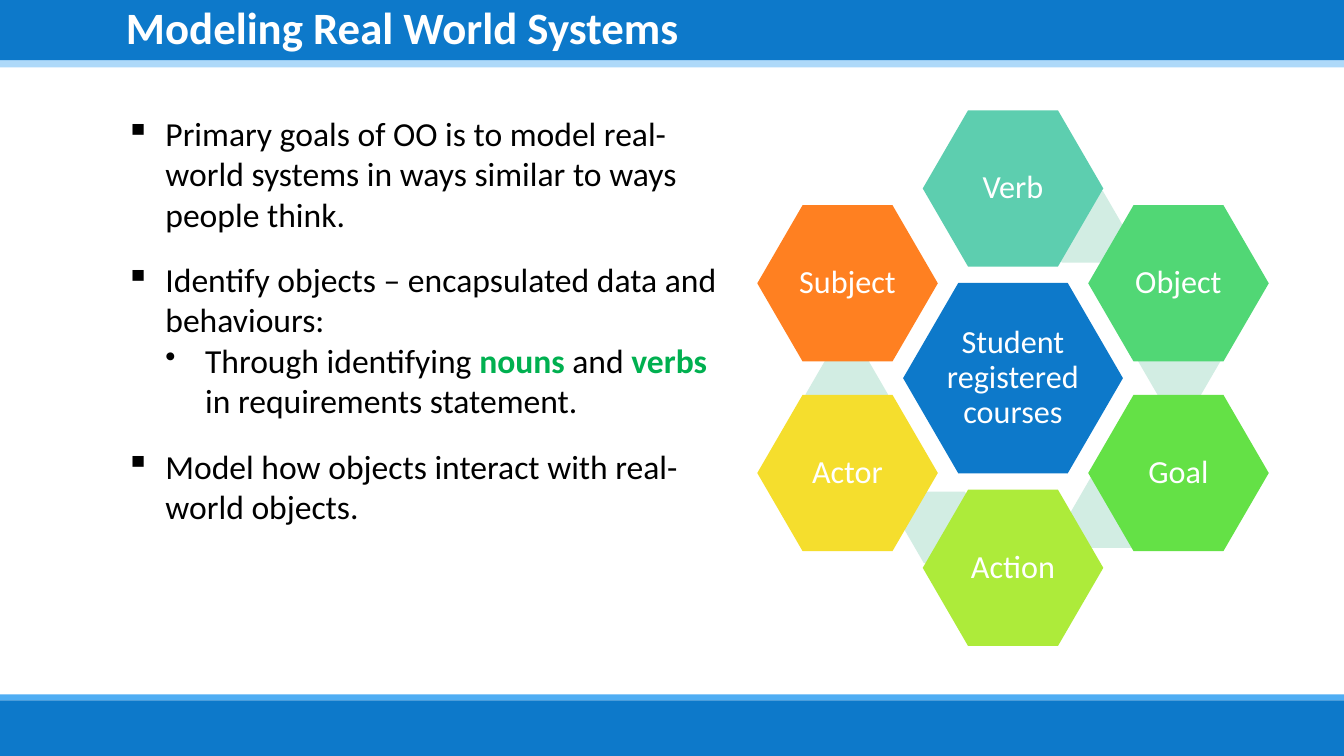
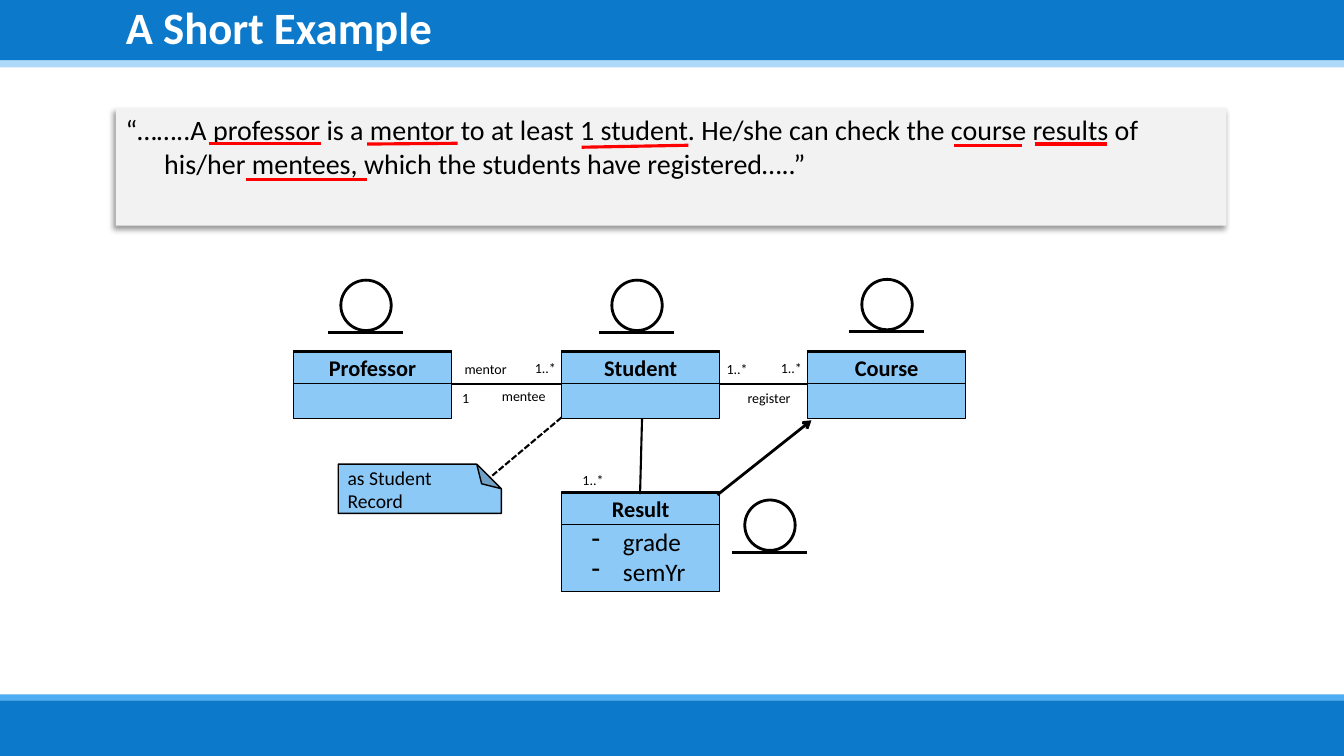
from dataclasses import dataclass

from lxml import etree
from pptx import Presentation
from pptx.dml.color import RGBColor
from pptx.enum.dml import MSO_LINE
from pptx.enum.shapes import MSO_CONNECTOR, MSO_SHAPE
from pptx.enum.text import MSO_ANCHOR, MSO_AUTO_SIZE, PP_ALIGN
from pptx.oxml.ns import qn
from pptx.util import Cm, Pt

RECT, OVAL = MSO_SHAPE.RECTANGLE, MSO_SHAPE.OVAL
HEX, FOLD = MSO_SHAPE.HEXAGON, MSO_SHAPE.FOLDED_CORNER
STRAIGHT, DASH = MSO_CONNECTOR.STRAIGHT, MSO_LINE.SQUARE_DOT
LEFT, CENTER = PP_ALIGN.LEFT, PP_ALIGN.CENTER
TOP, MIDDLE = MSO_ANCHOR.TOP, MSO_ANCHOR.MIDDLE
FIXED = MSO_AUTO_SIZE.NONE
WIDE, HIGH = 33.87, 19.05


@dataclass(frozen=True)
class Theme:
    font: str = "Calibri"
    blue: str = "0D79CA"
    sky: str = "8CC9F7"
    stripe: str = "4FADF3"
    mint: str = "D2EDE3"
    gray: str = "F2F2F2"
    green: str = "00B050"
    red: str = "FF0000"
    ink: str = "000000"
    white: str = "FFFFFF"
    title: int = 32
    body: int = 24
    hex: int = 23
    quote: int = 20
    field: int = 18
    name: int = 16
    note: int = 14
    label: int = 10


T = Theme()


def rgb(code):
    return RGBColor.from_string(code)


def node(parent, tag, **attrs):
    return etree.SubElement(parent, qn(tag), attrs)


def add_run(para, text, size, color=T.ink, bold=False):
    run = para.add_run()
    run.text = text
    font = run.font
    font.name, font.size, font.bold = T.font, Pt(size), bold
    font.color.rgb = rgb(color)


def set_indent(para, left, hang):
    props = para._p.get_or_add_pPr()
    props.set("marL", str(Cm(left)))
    props.set("indent", str(-Cm(hang)))
    return props


def set_bullet(para, char, left, hang, scale=100):
    props = set_indent(para, left, hang)
    node(props, "a:buSzPct", val=str(scale * 1000))
    node(props, "a:buChar", char=char)


def add_box(slide, kind, area, fill=None, line=None, width=1):
    shape = slide.shapes.add_shape(kind, *map(Cm, area))
    shape.shadow.inherit = False
    if fill:
        shape.fill.solid()
        shape.fill.fore_color.rgb = rgb(fill)
    else:
        shape.fill.background()
    if line:
        shape.line.color.rgb = rgb(line)
        shape.line.width = Pt(width)
    else:
        shape.line.fill.background()
    return shape


def set_frame(shape, align=LEFT, anchor=TOP):
    frame = shape.text_frame
    frame.word_wrap = True
    frame.auto_size = FIXED
    frame.vertical_anchor = anchor
    frame.paragraphs[0].alignment = align
    return frame


def add_text(slide, area):
    return set_frame(slide.shapes.add_textbox(*map(Cm, area)))


def add_line(slide, ends, width, color=T.ink, dash=None, arrow=False):
    line = slide.shapes.add_connector(STRAIGHT, *map(Cm, ends))
    line.line.color.rgb = rgb(color)
    line.line.width = Pt(width)
    if dash:
        line.line.dash_style = dash
    if arrow:
        node(line.line._get_or_add_ln(), "a:tailEnd", type="arrow")
    node(line.element.spPr, "a:effectLst")


def add_hex(slide, mid, size, fill, text=""):
    (x, y), (w, h) = mid, size
    shape = add_box(slide, HEX, (x - w / 2, y - h / 2, w, h), fill)
    shape.adjustments[0] = 0.29
    if text:
        frame = set_frame(shape, CENTER, MIDDLE)
        frame.margin_left = frame.margin_right = Cm(0.08)
        frame.margin_top = frame.margin_bottom = Cm(0.08)
        frame.paragraphs[0].line_spacing = 0.9
        add_run(frame.paragraphs[0], text, T.hex, T.white)


def add_class(slide, x, y, high, name):
    add_box(slide, RECT, (x, y, 3.99, high), T.sky, T.ink)
    head = add_box(slide, RECT, (x, y + 0.03, 3.99, 0.79), T.sky, T.ink)
    para = set_frame(head, CENTER, MIDDLE).paragraphs[0]
    add_run(para, name, T.name, bold=True)


def add_icon(slide, x, y):
    add_box(slide, OVAL, (x, y, 1.27, 1.27), None, T.ink, 2)
    add_line(slide, (x - 0.33, y + 1.32, x + 1.57, y + 1.32), 2)


def add_slide(deck, title):
    slide = deck.slides.add_slide(deck.slide_layouts[5])
    shape = slide.shapes.title
    shape.left, shape.top = Cm(2.92), Cm(0)
    shape.width, shape.height = Cm(27.99), Cm(1.52)
    para = set_frame(shape, LEFT, MIDDLE).paragraphs[0]
    para.line_spacing = 0.9
    add_run(para, title, T.title, T.white, True)
    return slide


def set_master(deck, slide):
    tree = deck.slide_master.element.cSld.spTree
    bands = [
        ((0, 0, WIDE, 1.7), T.sky),
        ((0, 0, WIDE, 1.52), T.blue),
        ((0, 17.5, WIDE, 0.15), T.stripe),
        ((0, 17.65, WIDE, 1.4), T.blue),
    ]
    for spot, (area, fill) in enumerate(bands):
        band = add_box(slide, RECT, area, fill)
        if fill == T.sky:
            color = band.element.spPr.find(".//" + qn("a:srgbClr"))
            node(color, "a:alpha", val="70000")
        tree.insert(2 + spot, band.element)


def add_goals(slide):
    goals = [
        (0, [("Primary goals of OO is to model real-world systems in ways "
              "similar to ways people think.",)]),
        (0, [("Identify objects – encapsulated data and behaviours:",)]),
        (1, [("Through identifying ",), ("nouns", T.green, True), (" and ",),
             ("verbs", T.green, True), (" in requirements statement.",)]),
        (0, [("Model how objects interact with real-world objects.",)]),
    ]
    frame = add_text(slide, (2.92, 2.72, 15.39, 14.81))
    for spot, (level, runs) in enumerate(goals):
        para = frame.add_paragraph() if spot else frame.paragraphs[0]
        if level:
            set_bullet(para, "•", 2, 1, 90)
        else:
            set_bullet(para, "▪", 1, 1)
        para.space_before = Pt(18 if spot and not level else 0)
        for text, *style in runs:
            add_run(para, text, T.body, *style)


def add_ring(slide):
    x, y = 25.53, 9.53
    links = [(1.75, -3.81), (4.19, -0.43), (2.49, 3.38),
             (-1.73, 3.76), (-4.19, 0.41)]
    petals = [
        ("Verb", "5DCEAF", 0, -1), ("Object", "51D775", 1, -0.5),
        ("Goal", "64E146", 1, 0.5), ("Action", "ADEB3A", 0, 1),
        ("Actor", "F5DE2D", -1, 0.5), ("Subject", "FF8021", -1, -0.5),
    ]
    add_hex(slide, (x, y), (5.54, 4.8), T.blue, "Student registered courses")
    for dx, dy in links:
        add_hex(slide, (x + dx, y + dy), (2.08, 1.8), T.mint)
    for text, fill, col, row in petals:
        mid = x + col * 4.17, y + row * 4.78
        add_hex(slide, mid, (4.55, 3.94), fill, text)


def add_quote(slide):
    card = add_box(slide, RECT, (2.92, 2.72, 27.99, 2.97), T.gray)
    effects = card.element.spPr.find(qn("a:effectLst"))
    shade = node(effects, "a:outerShdw", blurRad=str(Pt(4)),
                 dist=str(Pt(3)), dir="8100000", rotWithShape="0")
    color = node(shade, "a:srgbClr", val=T.ink)
    node(color, "a:alpha", val="40000")
    para = set_frame(card).paragraphs[0]
    set_indent(para, 0.97, 0.97)
    add_run(para, "“……..A professor is a mentor to at least 1 student. "
            "He/she can check the course results of his/her mentees, "
            "which the students have registered…..”", T.quote)
    marks = [
        (5.26, 3.61, 8.08, 3.61), (9.25, 3.63, 11.53, 3.61),
        (14.66, 3.71, 17.35, 3.66), (24.05, 3.66, 25.76, 3.66),
        (26.09, 3.63, 27.89, 3.63), (6.2, 4.52, 9.25, 4.52),
    ]
    for ends in marks:
        add_line(slide, ends, 2.25, T.red)


def add_note(slide):
    note = add_box(slide, FOLD, (9.96, 10.26, 1.24, 4.11), T.sky, T.ink)
    note.rotation = 270
    guides = note.element.spPr.find(".//" + qn("a:avLst"))
    node(guides, "a:gd", name="adj", fmla="val 50000")
    frame = add_text(slide, (8.51, 11.61, 3.76, 1.45))
    add_run(frame.paragraphs[0], "as Student Record", T.note)


def add_fields(slide):
    frame = add_text(slide, (14.66, 13.13, 2.95, 1.8))
    for spot, text in enumerate(("grade", "semYr")):
        para = frame.add_paragraph() if spot else frame.paragraphs[0]
        set_bullet(para, "-", 0.79, 0.79)
        add_run(para, text, T.field)


def add_model(slide):
    icons = [(8.59, 7.06), (15.42, 7.06), (21.72, 7.04), (18.77, 12.6)]
    classes = [
        (7.39, 8.84, 1.7, "Professor"), (14.15, 8.84, 1.7, "Student"),
        (20.35, 8.84, 1.7, "Course"), (14.15, 12.4, 2.51, "Result"),
    ]
    labels = [
        ("mentor", 11.46, 8.97), ("mentee", 12.4, 9.63),
        ("register", 18.59, 9.7), ("1", 11.4, 9.7),
        ("1..*", 14.43, 11.76), ("1..*", 13.23, 8.94),
        ("1..*", 18.06, 8.97), ("1..*", 19.43, 8.94),
    ]
    for spot in icons:
        add_icon(slide, *spot)
    add_line(slide, (11.38, 9.68, 20.35, 9.68), 1)
    for item in classes:
        add_class(slide, *item)
    add_note(slide)
    add_line(slide, (14.15, 10.52, 12.34, 12.04), 1.5, dash=DASH)
    add_line(slide, (18.08, 12.47, 20.45, 10.59), 2, arrow=True)
    add_line(slide, (16.18, 10.54, 16.13, 12.45), 1.5)
    for text, x, y in labels:
        frame = add_text(slide, (x, y, 1.75, 0.69))
        add_run(frame.paragraphs[0], text, T.label)
    add_fields(slide)


def main():
    deck = Presentation()
    deck.slide_width, deck.slide_height = Cm(WIDE), Cm(HIGH)
    goals = add_slide(deck, "Modeling Real World Systems")
    set_master(deck, goals)
    add_goals(goals)
    add_ring(goals)
    sample = add_slide(deck, "A Short Example")
    add_quote(sample)
    add_model(sample)
    deck.save("out.pptx")


if __name__ == "__main__":
    main()
